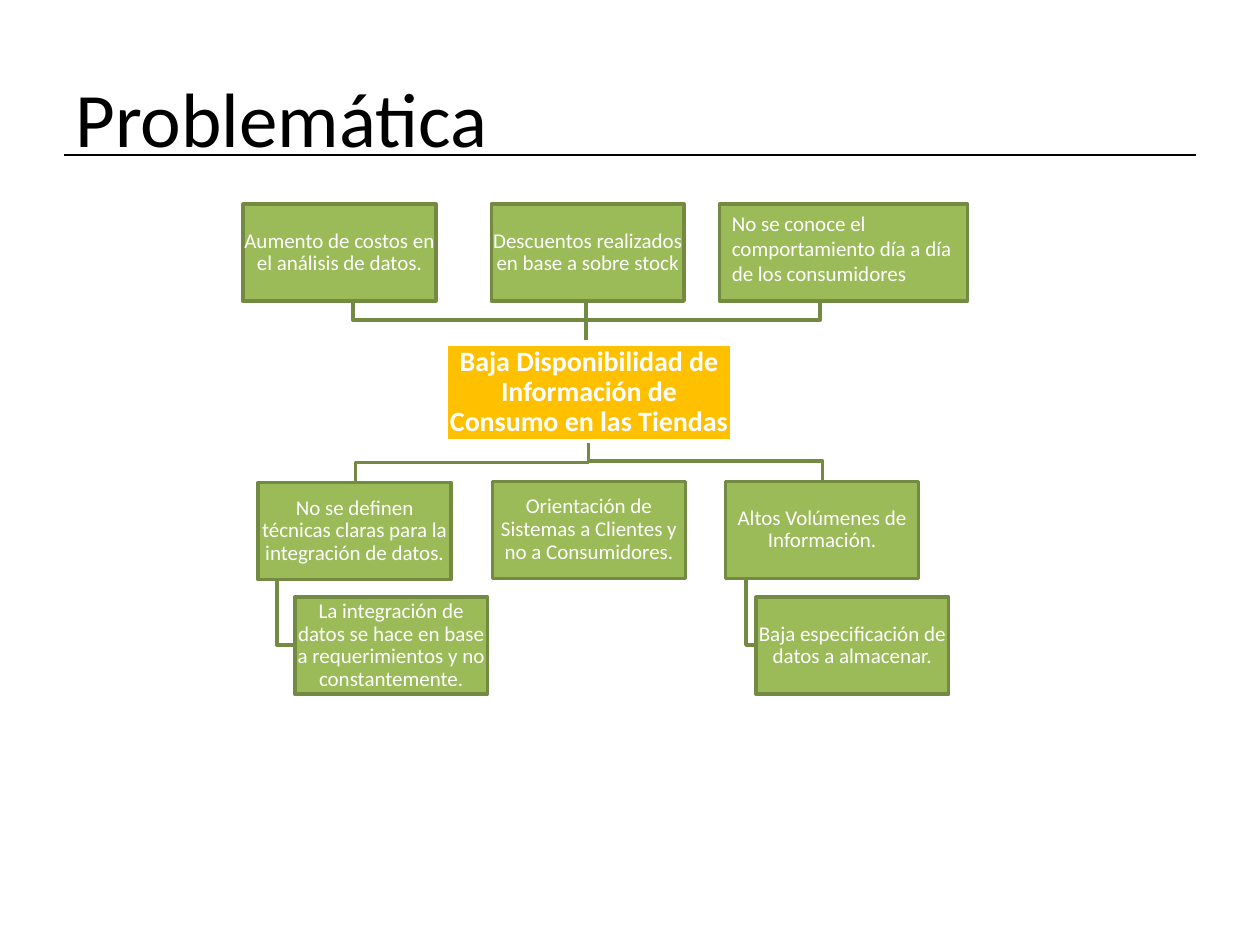
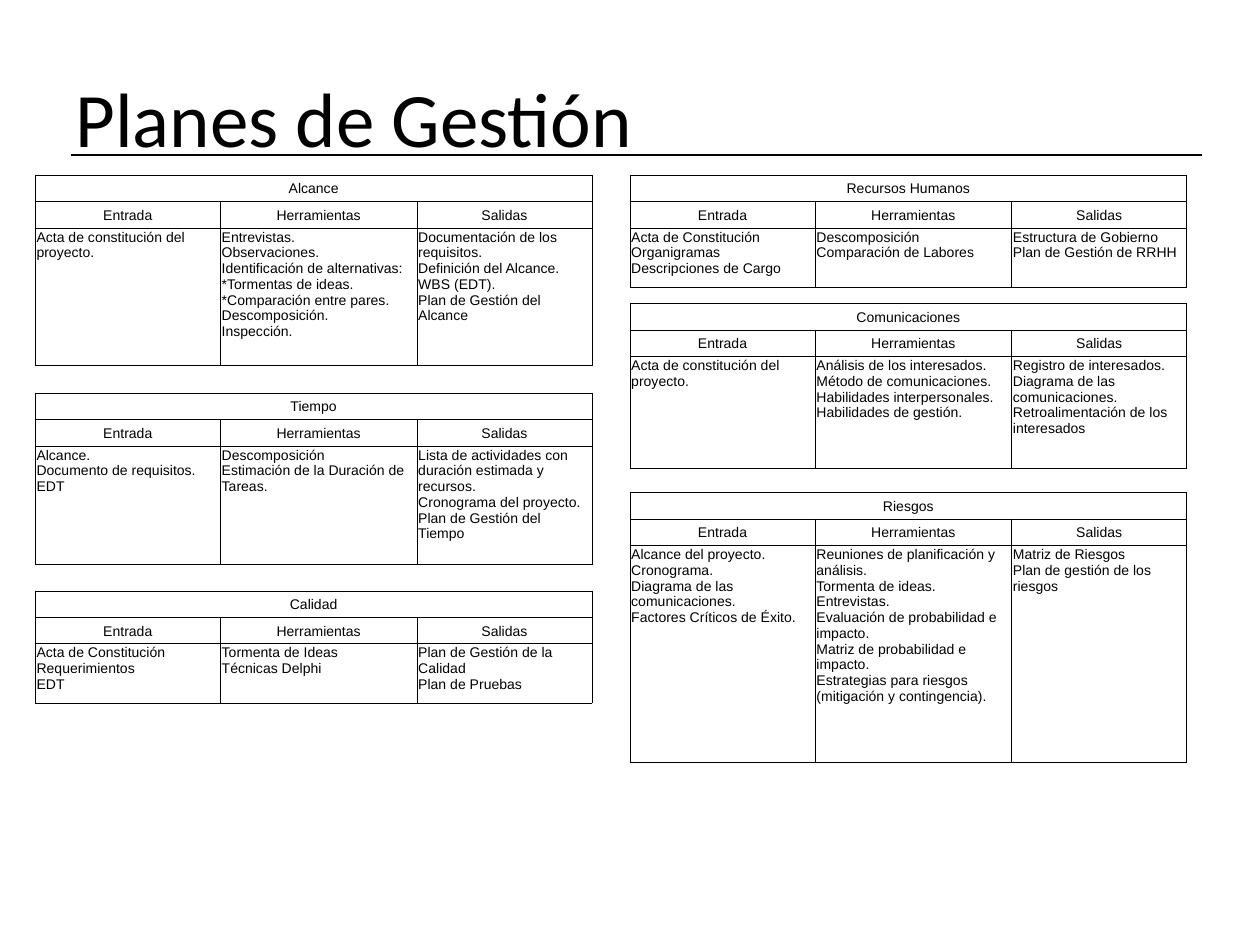
from dataclasses import dataclass

from lxml import etree
from pptx import Presentation
from pptx.dml.color import RGBColor
from pptx.enum.shapes import MSO_CONNECTOR, MSO_SHAPE
from pptx.enum.text import MSO_ANCHOR, PP_ALIGN
from pptx.oxml.ns import qn
from pptx.util import Inches, Pt

RECT = MSO_SHAPE.RECTANGLE
STRAIGHT = MSO_CONNECTOR.STRAIGHT
TOP, MIDDLE = MSO_ANCHOR.TOP, MSO_ANCHOR.MIDDLE
LEFT, CENTER = PP_ALIGN.LEFT, PP_ALIGN.CENTER

BLACK, WHITE = "000000", "FFFFFF"
GREEN, DARK_GREEN, AMBER = "9BBB59", "738A42", "FFC000"
TITLE_FONT = {"name": "Calibri", "size": Pt(44)}
BOX_FONT = {"name": "Calibri", "size": Pt(12), "bold": False}
CORE_FONT = {"name": "Calibri", "size": Pt(16), "bold": True}
CELL_FONT = {"name": "Arial", "size": Pt(8)}

TIGHT = {f"margin_{side}": Inches(0.01) for side in ("left", "top", "right", "bottom")}
CELL_MARGINS = TIGHT | {"margin_bottom": 0}
ROOMY = {"margin_left": Inches(0.1), "margin_right": Inches(0.1),
         "margin_top": Inches(0.05), "margin_bottom": Inches(0.05)}

BOX_W, BOX_H = 1.53, 0.77
EFFECTS_Y, CORE_Y, CAUSES_Y, DETAILS_Y = 1.62, 2.73, 3.82, 4.74
COLUMN_WIDTHS = (1.47, 1.56, 1.39)
HEADINGS = ("Entrada", "Herramientas", "Salidas")
HEAD_H = 0.21
LEFT_X, RIGHT_X = 0.28, 5.0


@dataclass(frozen=True)
class Box:
    """A filled box of the problem tree."""

    x: float
    y: float
    text: str
    w: float = BOX_W
    fill: str = GREEN
    line: str = DARK_GREEN
    centered: bool = True


@dataclass(frozen=True)
class Plan:
    """A management plan table with its three lists."""

    title: str
    x: float
    y: float
    body_h: float
    lists: tuple[str, str, str]


BRANCHES = (
    ((4.65, 2.7), (4.65, 2.54), (6.51, 2.54), (6.51, 2.38)),
    ((4.65, 2.7), (4.65, 2.54), (2.8, 2.54), (2.8, 2.38)),
    ((5.92, 4.59), (5.92, 5.12), (6, 5.12)),
    ((4.67, 3.5), (4.67, 3.66), (6.53, 3.66), (6.53, 3.82)),
    ((2.2, 4.6), (2.2, 5.12), (2.34, 5.12)),
    ((4.67, 3.5), (4.67, 3.67), (2.82, 3.67), (2.82, 3.83)),
)
CORE = Box(3.54, CORE_Y, "Baja Disponibilidad de Información de Consumo en las Tiendas",
           2.27, AMBER, WHITE)
BOXES = (
    Box(1.93, EFFECTS_Y, "Aumento de costos en el análisis de datos."),
    Box(3.9, EFFECTS_Y, "Descuentos realizados en base a sobre stock"),
    Box(5.71, EFFECTS_Y, "No se conoce el comportamiento día a día de los consumidores",
        1.97, centered=False),
    CORE,
    Box(2.05, 3.83, "No se definen técnicas claras para la integración de datos."),
    Box(2.34, DETAILS_Y, "La integración de datos se hace en base a requerimientos "
        "y no constantemente."),
    Box(3.91, CAUSES_Y, "Orientación de Sistemas a Clientes y no a Consumidores."),
    Box(5.76, CAUSES_Y, "Altos Volúmenes de Información."),
    Box(6, DETAILS_Y, "Baja especificación de datos a almacenar."),
)
PLANS = (
    Plan("Alcance", LEFT_X, 1.39, 1.09, (
        "Acta de constitución del proyecto.",
        "Entrevistas.\nObservaciones.\nIdentificación de alternativas:\n"
        "*Tormentas de ideas.\n*Comparación entre pares.\nDescomposición.\nInspección.",
        "Documentación de los requisitos.\nDefinición del Alcance.\nWBS (EDT).\n"
        "Plan de Gestión del Alcance")),
    Plan("Tiempo", LEFT_X, 3.12, 0.94, (
        "Alcance.\nDocumento de requisitos.\nEDT",
        "Descomposición\nEstimación de la Duración de Tareas.",
        "Lista de actividades con duración estimada y recursos.\n"
        "Cronograma del proyecto.\nPlan de Gestión del Tiempo")),
    Plan("Calidad", LEFT_X, 4.69, 0.47, (
        "Acta de Constitución\nRequerimientos\nEDT",
        "Tormenta de Ideas\nTécnicas Delphi",
        "Plan de Gestión de la Calidad\nPlan de Pruebas")),
    Plan("Recursos Humanos", RIGHT_X, 1.39, 0.47, (
        "Acta de Constitución\nOrganigramas\nDescripciones de Cargo",
        "Descomposición\nComparación de Labores",
        "Estructura de Gobierno\nPlan de Gestión de RRHH")),
    Plan("Comunicaciones", RIGHT_X, 2.41, 0.89, (
        "Acta de constitución del proyecto.",
        "Análisis de los interesados.\nMétodo de comunicaciones.\n"
        "Habilidades interpersonales.\nHabilidades de gestión.",
        "Registro de interesados.\nDiagrama de las comunicaciones.\n"
        "Retroalimentación de los interesados")),
    Plan("Riesgos", RIGHT_X, 3.91, 1.72, (
        "Alcance del proyecto.\nCronograma.\nDiagrama de las comunicaciones.\n"
        "Factores Críticos de Éxito.",
        "Reuniones de planificación y análisis.\nTormenta de ideas.\nEntrevistas.\n"
        "Evaluación de probabilidad e impacto.\nMatriz de probabilidad e impacto.\n"
        "Estrategias para riesgos (mitigación y contingencia).",
        "Matriz de Riesgos\nPlan de gestión de los riesgos")),
)


def apply(target, values: dict) -> None:
    """Set each attribute in values on target."""
    for name, value in values.items():
        setattr(target, name, value)


def paint(fmt, color: str) -> None:
    """Give a fill or a line fill a solid colour."""
    fmt.solid()
    fmt.fore_color.rgb = RGBColor.from_string(color)


def stroke(line, color: str, width: float) -> None:
    """Set the colour and width of a line."""
    paint(line.fill, color)
    line.width = Pt(width)


def write(tf, text: str, font: dict, color: str, **layout) -> None:
    """Write one paragraph per text line in one style."""
    tf.text = text
    for p in tf.paragraphs:
        apply(p, layout)
        for r in p.runs:
            apply(r.font, font)
            paint(r.font.fill, color)


def add_line(slide, start: tuple, end: tuple, color: str, width: float) -> None:
    """Draw a straight line without a shadow."""
    sp = slide.shapes.add_connector(STRAIGHT, *map(Inches, start + end))
    stroke(sp.line, color, width)
    etree.SubElement(sp._element.spPr, qn("a:effectLst"))


def add_branch(slide, points: tuple) -> None:
    """Draw an angled branch of the problem tree."""
    first, *rest = [tuple(map(Inches, point)) for point in points]
    builder = slide.shapes.build_freeform(*first)
    builder.add_line_segments(rest, close=False)
    sp = builder.convert_to_shape()
    sp.shadow.inherit = False
    sp.fill.background()
    stroke(sp.line, DARK_GREEN, 2)


def add_box(slide, box: Box) -> None:
    """Draw a box of the problem tree with its text."""
    sp = slide.shapes.add_shape(RECT, *map(Inches, (box.x, box.y, box.w, BOX_H)))
    sp.shadow.inherit = False
    paint(sp.fill, box.fill)
    stroke(sp.line, box.line, 2)
    tf = sp.text_frame
    apply(tf, TIGHT if box.centered else ROOMY)
    apply(tf, {"word_wrap": True, "vertical_anchor": MIDDLE if box.centered else TOP})
    write(tf, box.text, CORE_FONT if box is CORE else BOX_FONT, WHITE,
          alignment=CENTER if box.centered else LEFT,
          line_spacing=0.9 if box.centered else 1.0)


def add_borders(cell) -> None:
    """Put a thin black border on all sides of a cell."""
    tc_pr = cell._tc.get_or_add_tcPr()
    for i, tag in enumerate(("a:lnL", "a:lnR", "a:lnT", "a:lnB")):
        ln = etree.Element(qn(tag), w=str(Pt(0.5)))
        fill = etree.SubElement(ln, qn("a:solidFill"))
        etree.SubElement(fill, qn("a:srgbClr"), val=BLACK)
        tc_pr.insert(i, ln)


def add_plan(slide, plan: Plan) -> None:
    """Draw a management plan as a table."""
    heights = (HEAD_H, HEAD_H, plan.body_h)
    frame = slide.shapes.add_table(3, 3, *map(Inches, (
        plan.x, plan.y, sum(COLUMN_WIDTHS), sum(heights))))
    table = frame.table
    apply(table, {"first_row": False, "horz_banding": False})
    for column, width in zip(table.columns, COLUMN_WIDTHS):
        column.width = Inches(width)
    for row, height in zip(table.rows, heights):
        row.height = Inches(height)
    table.cell(0, 0).merge(table.cell(0, 2))
    for i, texts in enumerate(((plan.title, "", ""), HEADINGS, plan.lists)):
        for j, text in enumerate(texts):
            cell = table.cell(i, j)
            apply(cell, CELL_MARGINS | {"vertical_anchor": TOP if i == 2 else MIDDLE})
            paint(cell.fill, WHITE)
            add_borders(cell)
            write(cell.text_frame, text, CELL_FONT, BLACK,
                  alignment=LEFT if i == 2 else CENTER)


def add_slide(prs, title: str, rule_x: float):
    """Add a blank slide with its title and rule."""
    slide = prs.slides.add_slide(prs.slide_layouts[6])
    tf = slide.shapes.add_textbox(*map(Inches, (0.5, 0.3, 9, 1.25))).text_frame
    apply(tf, {"word_wrap": True, "vertical_anchor": MIDDLE})
    write(tf, title, TITLE_FONT, BLACK)
    add_line(slide, (rule_x, 1.23), (rule_x + 8.98, 1.23), BLACK, 0.75)
    return slide


def main() -> None:
    """Build the presentation."""
    prs = Presentation()
    apply(prs, {"slide_width": Inches(10), "slide_height": Inches(7.5)})
    s = add_slide(prs, "Problemática", 0.51)
    add_line(s, (4.65, 2.7), (4.65, 2.38), DARK_GREEN, 2)
    for points in BRANCHES:
        add_branch(s, points)
    for box in BOXES:
        add_box(s, box)
    s = add_slide(prs, "Planes de Gestión", 0.56)
    for plan in PLANS:
        add_plan(s, plan)
    prs.save("out.pptx")


if __name__ == "__main__":
    main()
